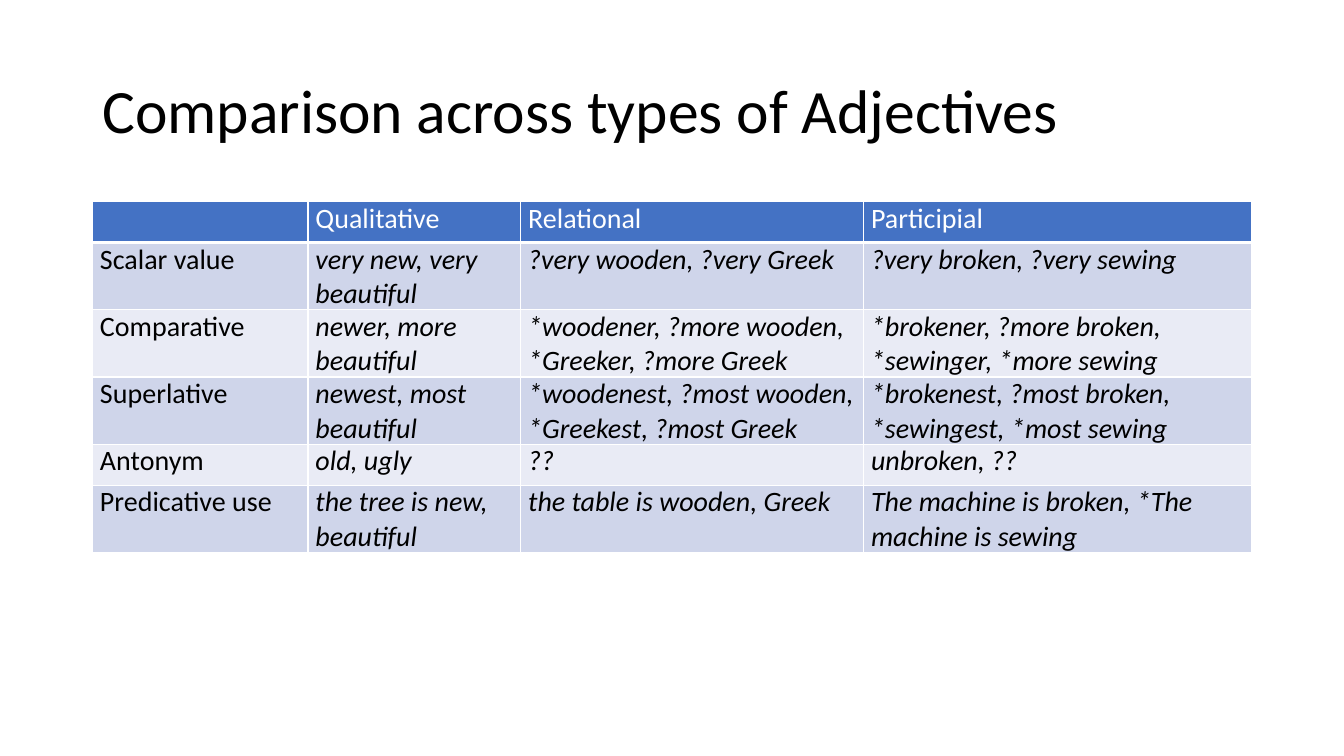
from dataclasses import dataclass

from lxml.etree import SubElement
from pptx import Presentation
from pptx.dml.color import RGBColor
from pptx.enum.text import MSO_ANCHOR
from pptx.oxml.ns import qn
from pptx.util import Cm, Pt

# Content
TITLE = "Comparison across types of Adjectives"
ROWS = [
    ("", "Qualitative", "Relational", "Participial"),
    ("Scalar value", "very new, very beautiful",
     "?very wooden, ?very Greek", "?very broken, ?very sewing"),
    ("Comparative", "newer, more beautiful",
     "*woodener, ?more wooden, *Greeker, ?more Greek",
     "*brokener, ?more broken, *sewinger, *more sewing"),
    ("Superlative", "newest, most beautiful",
     "*woodenest, ?most wooden, *Greekest, ?most Greek",
     "*brokenest, ?most broken, *sewingest, *most sewing"),
    ("Antonym", "old, ugly", "??", "unbroken, ??"),
    ("Predicative use", "the tree is new, beautiful",
     "the table is wooden, Greek",
     "The machine is broken, *The machine is sewing"),
]

# Layout in centimetres
LEFT, WIDTH = 2.33, 29.21
TITLE_TOP, TITLE_HEIGHT = 1.01, 3.68
TABLE_TOP, ROW_HEIGHT = 5.08, 1.03
COLUMN_WIDTHS = (5.43, 5.36, 8.64, 9.78)
CELL_MARGIN = 0.19


@dataclass(frozen=True)
class Theme:
    font: str = "Calibri"
    title_size: int = 44
    table_size: int = 20
    text: str = "000000"
    white: str = "FFFFFF"
    header: str = "4472C4"
    bands: tuple = ("E9EBF5", "CFD5EA")
    rule: int = 1
    header_rule: int = 3


THEME = Theme()


def add_span(para, text, size, color, italic=False):
    span = para.add_run()
    span.text = text
    font = span.font
    font.name, font.size = THEME.font, Pt(size)
    font.bold, font.italic = False, italic
    font.color.rgb = RGBColor.from_string(color)


def set_borders(cell, is_header):
    properties = cell._tc.get_or_add_tcPr()
    for side in "LRTB":
        thick = is_header and side == "B"
        width = Pt(THEME.header_rule if thick else THEME.rule)
        line = SubElement(properties, qn(f"a:ln{side}"), w=str(width))
        fill = SubElement(line, qn("a:solidFill"))
        SubElement(fill, qn("a:srgbClr"), val=THEME.white)


def add_title(page):
    box = page.shapes.add_textbox(Cm(LEFT), Cm(TITLE_TOP), Cm(WIDTH), Cm(TITLE_HEIGHT))
    frame = box.text_frame
    frame.word_wrap = True
    frame.vertical_anchor = MSO_ANCHOR.MIDDLE
    para = frame.paragraphs[0]
    para.line_spacing = 0.9
    add_span(para, TITLE, THEME.title_size, THEME.text)


def fill_cell(cell, text, row, column):
    is_header = row == 0
    cell.margin_left = cell.margin_right = Cm(CELL_MARGIN)
    cell.margin_top = cell.margin_bottom = 0
    set_borders(cell, is_header)
    cell.fill.solid()
    color = THEME.header if is_header else THEME.bands[row % 2]
    cell.fill.fore_color.rgb = RGBColor.from_string(color)
    if text:
        add_span(cell.text_frame.paragraphs[0], text, THEME.table_size,
                 THEME.white if is_header else THEME.text,
                 italic=not is_header and column > 0)


def add_comparison(page):
    table = page.shapes.add_table(
        len(ROWS), len(COLUMN_WIDTHS), Cm(LEFT), Cm(TABLE_TOP),
        Cm(WIDTH), Cm(ROW_HEIGHT * len(ROWS))).table
    for column, width in zip(table.columns, COLUMN_WIDTHS):
        column.width = Cm(width)
    for row, texts in enumerate(ROWS):
        table.rows[row].height = Cm(ROW_HEIGHT)
        for column, text in enumerate(texts):
            fill_cell(table.cell(row, column), text, row, column)


def main():
    deck = Presentation()
    deck.slide_width, deck.slide_height = Cm(33.87), Cm(19.05)
    page = deck.slides.add_slide(deck.slide_layouts[6])
    add_title(page)
    add_comparison(page)
    deck.save("out.pptx")


if __name__ == "__main__":
    main()
